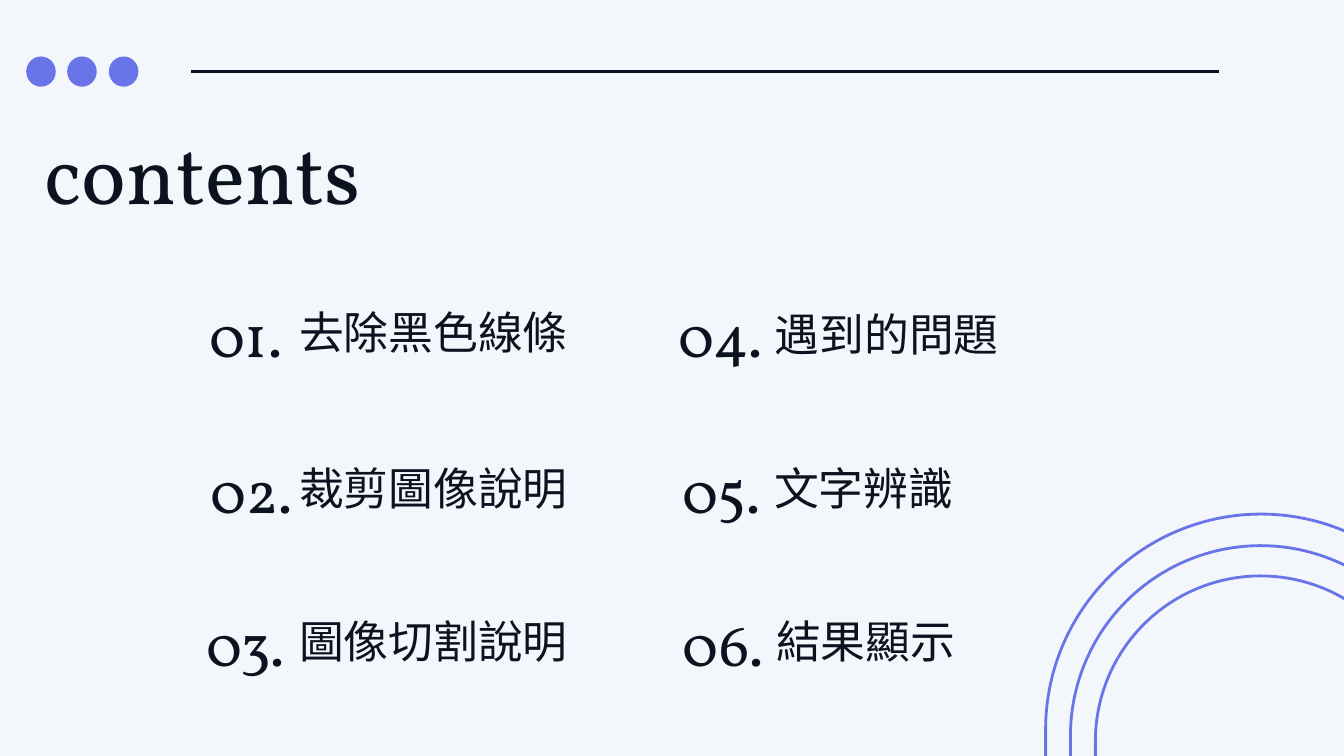
from dataclasses import dataclass

from lxml import etree
from pptx import Presentation
from pptx.dml.color import RGBColor
from pptx.enum import shapes, text
from pptx.oxml import ns
from pptx.util import Emu, Pt

PX = 9144  # 100 px to the inch
INK = RGBColor(0x0B, 0x13, 0x20)
VIOLET = RGBColor(0x68, 0x74, 0xE8)
PAPER = RGBColor(0xF3, 0xF6, 0xFA)
SERIF = "Vollkorn"
SANS = "Noto Sans CJK SC"
LEFT, MID, RIGHT = text.PP_ALIGN.LEFT, text.PP_ALIGN.CENTER, text.PP_ALIGN.RIGHT


@dataclass
class Box:
    x: int
    y: int
    w: int
    h: int

    def emu(self) -> list[Emu]:
        return [Emu(n * PX) for n in (self.x, self.y, self.w, self.h)]


@dataclass
class Style:
    font: str
    size: int
    align: text.PP_ALIGN
    lead: float


@dataclass
class Entry:
    num: str
    spot: Box
    title: str
    x: int
    y: int


TITLE = Style(SERIF, 90, RIGHT, 1.2)
NUMBER = Style(SERIF, 64, MID, 1.4)
TOPIC = Style(SANS, 48, LEFT, 1.2)

ENTRIES = [
    Entry("01.", Box(291, 401, 149, 119), "去除黑色線條", 445, 438),
    Entry("02.", Box(307, 632, 134, 119), "裁剪圖像說明", 445, 669),
    Entry("03.", Box(291, 860, 149, 151), "圖像切割說明", 445, 898),
    Entry("04.", Box(995, 401, 156, 151), "遇到的問題", 1153, 441),
    Entry("05.", Box(999, 632, 149, 151), "文字辨識", 1152, 669),
    Entry("06.", Box(1002, 860, 149, 151), "結果顯示", 1155, 897),
]


def write(slide, box: Box, words: str, style: Style) -> None:
    frame = slide.shapes.add_textbox(*box.emu()).text_frame
    frame.word_wrap = True
    frame.auto_size = text.MSO_AUTO_SIZE.SHAPE_TO_FIT_TEXT
    frame.margin_left = frame.margin_right = 0
    frame.margin_top = frame.margin_bottom = 0
    para = frame.paragraphs[0]
    para.alignment = style.align
    para.line_spacing = style.lead
    run = para.add_run()
    run.text = words
    run.font.name = style.font
    run.font.size = Pt(style.size)
    run.font.color.rgb = INK
    # East Asian glyphs take their own typeface
    east = etree.SubElement(run.font._element, ns.qn("a:ea"))
    east.set("typeface", style.font)


def dot(slide, box: Box) -> None:
    disc = slide.shapes.add_shape(shapes.MSO_SHAPE.OVAL, *box.emu())
    disc.shadow.inherit = False
    disc.fill.solid()
    disc.fill.fore_color.rgb = VIOLET
    disc.line.fill.background()


def arch(slide, box: Box) -> None:
    kind = shapes.MSO_SHAPE.ROUND_2_SAME_RECTANGLE
    curve = slide.shapes.add_shape(kind, *box.emu())
    curve.adjustments[0] = 0.5
    curve.shadow.inherit = False
    curve.fill.background()
    curve.line.color.rgb = VIOLET
    curve.line.width = Pt(3)


def rule(slide, x: int, y: int, end: int) -> None:
    line = slide.shapes.add_connector(
        shapes.MSO_CONNECTOR.STRAIGHT, *(Emu(n * PX) for n in (x, y, end, y)))
    line.line.color.rgb = INK
    line.line.width = Pt(3)
    etree.SubElement(line._element.spPr, ns.qn("a:effectLst"))


def main() -> None:
    deck = Presentation()
    deck.slide_width, deck.slide_height = Emu(2000 * PX), Emu(1125 * PX)
    slide = deck.slides.add_slide(deck.slide_layouts[6])
    slide.background.fill.solid()
    slide.background.fill.fore_color.rgb = PAPER

    # Header: three dots and a rule
    rule(slide, 284, 106, 1814)
    for x in (39, 100, 162):
        dot(slide, Box(x, 84, 44, 45))

    # Nested arches in the corner
    for w, h in ((641, 789), (566, 696), (492, 605)):
        arch(slide, Box(1876 - w // 2, 1160 - (h + 1) // 2, w, h))

    # Title and numbered topics
    write(slide, Box(-23, 150, 560, 182), "contents", TITLE)
    for item in ENTRIES:
        write(slide, item.spot, item.num, NUMBER)
        write(slide, Box(item.x, item.y, 539, 97), item.title, TOPIC)

    deck.save("out.pptx")


if __name__ == "__main__":
    main()
